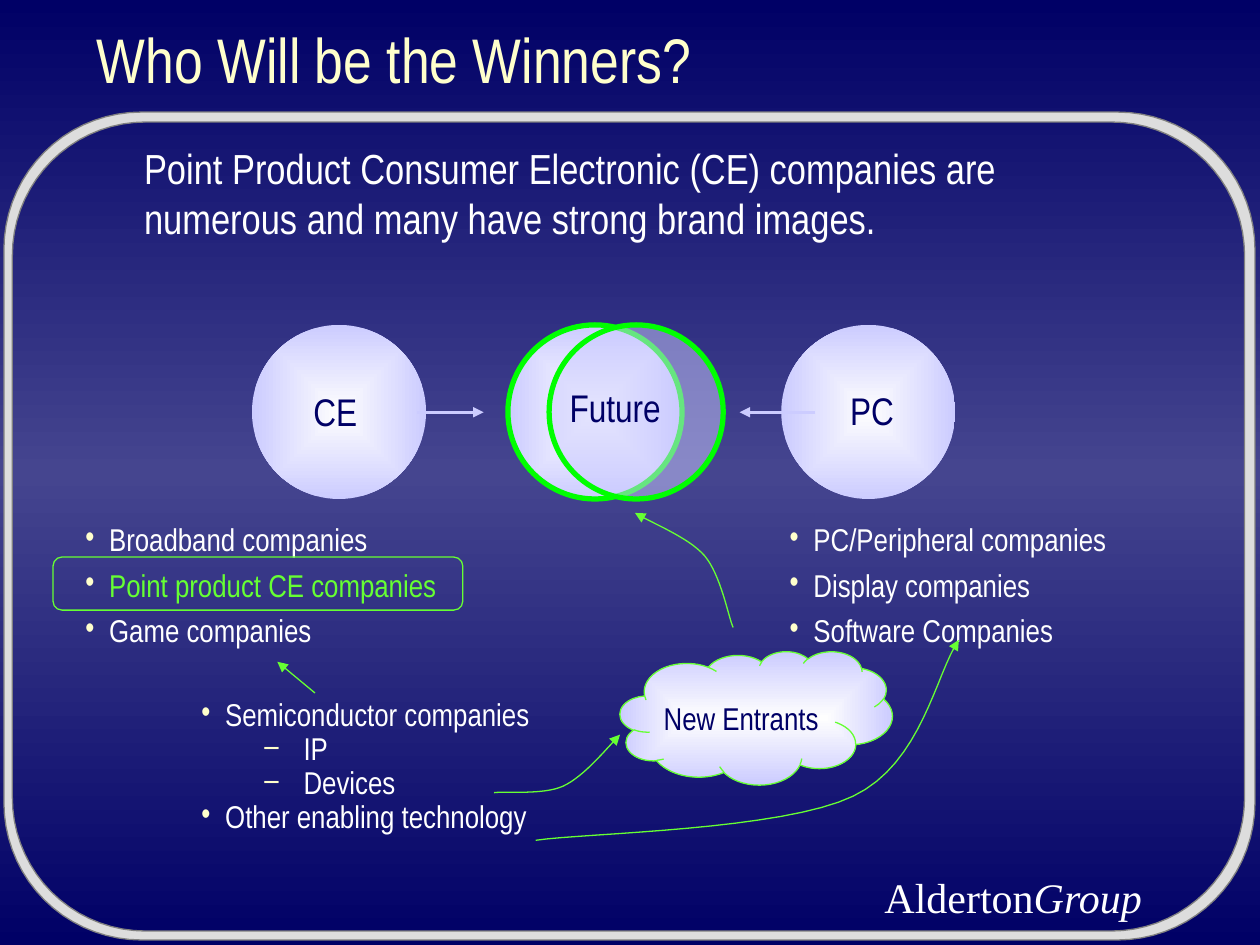
"""Build the slide on who will win between consumer electronics and PC companies."""
from dataclasses import dataclass
from math import cos, radians, sin

from lxml.etree import SubElement
from pptx import Presentation
from pptx.dml.color import RGBColor
from pptx.enum.shapes import MSO_CONNECTOR, MSO_SHAPE
from pptx.enum.text import MSO_ANCHOR, MSO_AUTO_SIZE, PP_ALIGN
from pptx.oxml.ns import qn
from pptx.util import Cm, Pt


@dataclass(frozen=True)
class Theme:
    sans: str = "Arial Narrow"
    serif: str = "Times New Roman"
    navy: str = "000066"
    dusk: str = "45458F"
    cream: str = "FFFFCC"
    white: str = "FFFFFF"
    glow: str = "FEFEFE"
    lilac: str = "CCCCFF"
    neon: str = "00FF00"
    lime: str = "66FF33"
    silver: str = "DDDDDD"
    grey: str = "808080"
    title: int = 36
    body: int = 24
    label: int = 22
    item: int = 18


THEME = Theme()
TITLE = "Who Will be the Winners?"
MESSAGE = ("Point Product Consumer Electronic (CE) companies are numerous "
           "and many have strong brand images.")
WORDMARK = [("Alderton", False), ("Group", True)]
FRAME = [((0.08, 2.26, 25.22, 16.69), 2.77, 1), ((0.25, 2.46, 24.84, 16.31), 2.69, -1)]
DIAMETER, CIRCLE_TOP = 3.51, 6.55
SOLID_CIRCLES = [(5.08, None), (15.75, None), (10.24, THEME.neon)]
OVERLAP_LEFT = 11.07
LABEL_WIDTH, LABEL_HEIGHT = 2.6, 1.19
LABELS = [("CE", 6.76, 7.7), ("Future", 12.4, 7.62), ("PC", 17.58, 7.67)]
ARROWS = [((8.41, 8.31), (9.75, 8.31), THEME.lilac, 1.5),
          ((16.43, 8.31), (14.91, 8.31), THEME.lilac, 1.5),
          ((6.35, 13.97), (5.59, 13.34), THEME.lime, 0.75)]
LISTS = [
    ((1.47, 10.36, 11, 4.88), 4.5, 1.0,
     [("Broadband companies", 0, THEME.white),
      ("Point product CE companies", 0, THEME.lime),
      ("Game companies", 0, THEME.white)]),
    ((15.67, 10.36, 9.5, 2.74), 4.5, 1.0,
     [("PC/Peripheral companies", 0, THEME.white),
      ("Display companies", 0, THEME.white),
      ("Software Companies", 0, THEME.white)]),
    ((3.81, 13.97, 11, 2.74), 0, 0.9,
     [("Semiconductor companies", 0, THEME.white),
      ("IP", 1, THEME.white),
      ("Devices", 1, THEME.white),
      ("Other enabling technology", 0, THEME.white)]),
]
LEVELS = [("•", 0.48, -0.48), ("–", 2.06, -0.79)]
CURVES = [
    [(14.78, 12.65), (14.68, 12.42), (14.53, 11.58), (14.2, 11.2),
     (13.87, 10.82), (13.08, 10.52), (12.8, 10.34)],
    [(9.96, 15.98), (10.19, 15.95), (10.95, 16.03), (11.35, 15.85),
     (11.79, 15.65), (12.27, 15.04), (12.5, 14.81)],
    [(10.8, 16.94), (11.86, 16.79), (15.77, 16.74), (17.2, 16.05),
     (18.59, 15.39), (18.87, 13.56), (19.33, 12.9)],
]
CLOUD = (12.5, 13.13, 5.49, 2.69)
ENTRANTS = ("New Entrants", (13.13, 13.97, 4.45, 1.27))
HIGHLIGHT = (1.07, 11.23, 8.26, 1.07)


def lengths(values):
    return [Cm(value) for value in values]


def color(code):
    return RGBColor.from_string(code)


def set_gradient(fill, parent, stops, centred):
    fill.gradient()
    gradient = parent.find(".//" + qn("a:gradFill"))
    for child in list(gradient):
        gradient.remove(child)
    stop_list = SubElement(gradient, qn("a:gsLst"))
    for position, code in stops:
        stop = SubElement(stop_list, qn("a:gs"), pos=str(position * 1000))
        SubElement(stop, qn("a:srgbClr"), val=code)
    if centred:
        direction = SubElement(gradient, qn("a:path"), path="rect")
        SubElement(direction, qn("a:fillToRect"), l="50000", t="50000", r="50000", b="50000")
    else:
        SubElement(gradient, qn("a:lin"), ang="5400000", scaled="1")


def set_glow(shape):
    set_gradient(shape.fill, shape.element.spPr, [(0, THEME.glow), (100, THEME.lilac)], True)


def set_line(line, code, width, arrow=False):
    if code is None:
        line.fill.background()
        return
    line.color.rgb = color(code)
    line.width = Pt(width)
    if arrow:
        SubElement(line._get_or_add_ln(), qn("a:tailEnd"), type="triangle")


def add_preset(page, kind, place, code, width):
    shape = page.shapes.add_shape(kind, *lengths(place))
    shape.shadow.inherit = False
    set_line(shape.line, code, width)
    return shape


def add_span(para, text, size, code, font=THEME.sans, italic=False):
    span = para.add_run()
    span.text = text
    span.font.name, span.font.size = font, Pt(size)
    span.font.color.rgb = color(code)
    span.font.italic = italic


def add_box(page, place, wrap=True):
    box = page.shapes.add_textbox(*lengths(place))
    box.text_frame.word_wrap = wrap
    return box.text_frame


def fill_placeholder(box, place, text, size, code, anchor):
    box.left, box.top, box.width, box.height = lengths(place)
    frame = box.text_frame
    frame.auto_size = MSO_AUTO_SIZE.NONE
    frame.vertical_anchor = anchor
    para = frame.paragraphs[0]
    para.alignment, para.space_before = PP_ALIGN.LEFT, Pt(0)
    add_span(para, text, size, code)
    return para


def add_list(page, place, gap, spacing, items):
    frame = add_box(page, place)
    for index, (text, level, code) in enumerate(items):
        para = frame.add_paragraph() if index else frame.paragraphs[0]
        mark, margin, indent = LEVELS[level]
        properties = para._p.get_or_add_pPr()
        properties.set("marL", str(Cm(margin)))
        properties.set("indent", str(Cm(indent)))
        SubElement(SubElement(properties, qn("a:buClr")), qn("a:srgbClr"), val=THEME.cream)
        SubElement(properties, qn("a:buFont"), typeface=THEME.sans)
        SubElement(properties, qn("a:buChar"), char=mark)
        para.level, para.line_spacing = level, spacing
        para.space_before = Pt(gap if index else 0)
        add_span(para, text, THEME.item, code)


def rounded_outline(place, radius, direction):
    left, top, width, height = place
    near_x, far_x = left + radius, left + width - radius
    near_y, far_y = top + radius, top + height - radius
    corners = [(far_x, far_y), (near_x, far_y), (near_x, near_y), (far_x, near_y)]
    points = [(Cm(x + radius * cos(radians(90 * turn + step))),
               Cm(y + radius * sin(radians(90 * turn + step))))
              for turn, (x, y) in enumerate(corners) for step in range(0, 91, 5)]
    return points[::direction]


def add_frame(page):
    outer, inner = (rounded_outline(*contour) for contour in FRAME)
    builder = page.shapes.build_freeform(*outer[0])
    builder.add_line_segments(outer[1:])
    builder.move_to(*inner[0])
    builder.add_line_segments(inner[1:])
    shape = builder.convert_to_shape()
    shape.shadow.inherit = False
    shape.fill.solid()
    shape.fill.fore_color.rgb = color(THEME.silver)
    set_line(shape.line, THEME.grey, 0.75)


def add_curve(page, knots, steps=16):
    points = []
    for first in range(0, len(knots) - 1, 3):
        for step in range(1, steps + 1):
            t = step / steps
            weights = ((1 - t) ** 3, 3 * t * (1 - t) ** 2, 3 * t * t * (1 - t), t ** 3)
            points.append(tuple(Cm(sum(weight * knot[axis] for weight, knot
                                       in zip(weights, knots[first:first + 4])))
                                for axis in (0, 1)))
    builder = page.shapes.build_freeform(*lengths(knots[0]))
    builder.add_line_segments(points, close=False)
    shape = builder.convert_to_shape()
    shape.shadow.inherit = False
    shape.fill.background()
    set_line(shape.line, THEME.lime, 0.75, arrow=True)


def main():
    deck = Presentation()
    deck.slide_width, deck.slide_height = Cm(25.4), Cm(19.05)
    page = deck.slides.add_slide(deck.slide_layouts[1])
    set_gradient(page.background.fill, page.element,
                 [(0, THEME.navy), (50, THEME.dusk), (100, THEME.navy)], False)
    fill_placeholder(page.shapes.title, (1.7, 0, 22.23, 2.34), TITLE,
                     THEME.title, THEME.cream, MSO_ANCHOR.MIDDLE)
    message = fill_placeholder(page.placeholders[1], (1.7, 2.74, 21.59, 4.88), MESSAGE,
                               THEME.body, THEME.white, MSO_ANCHOR.TOP)
    properties = message._p.get_or_add_pPr()
    properties.set("marL", str(Cm(0.95)))
    properties.set("indent", "0")
    SubElement(properties, qn("a:buNone"))

    add_frame(page)
    wordmark = add_box(page, (17.58, 17.45, 5.99, 1.27), wrap=False).paragraphs[0]
    for text, italic in WORDMARK:
        add_span(wordmark, text, THEME.body, THEME.white, THEME.serif, italic)

    for left, outline in SOLID_CIRCLES:
        place = (left, CIRCLE_TOP, DIAMETER, DIAMETER)
        set_glow(add_preset(page, MSO_SHAPE.OVAL, place, outline, 3))
    overlap = add_preset(page, MSO_SHAPE.OVAL,
                         (OVERLAP_LEFT, CIRCLE_TOP, DIAMETER, DIAMETER), THEME.neon, 3)
    overlap.fill.solid()
    overlap.fill.fore_color.rgb = color(THEME.lilac)
    tint = overlap.element.spPr.find(qn("a:solidFill")).find(qn("a:srgbClr"))
    SubElement(tint, qn("a:alpha"), val="50000")

    for start, end, code, width in ARROWS:
        arrow = page.shapes.add_connector(MSO_CONNECTOR.STRAIGHT, *lengths(start + end))
        set_line(arrow.line, code, width, arrow=True)
        SubElement(arrow.element.spPr, qn("a:effectLst"))
    for text, centre, top in LABELS:
        place = (centre - LABEL_WIDTH / 2, top, LABEL_WIDTH, LABEL_HEIGHT)
        para = add_box(page, place).paragraphs[0]
        para.alignment = PP_ALIGN.CENTER
        add_span(para, text, THEME.label, THEME.navy)
    for group in LISTS:
        add_list(page, *group)

    set_glow(add_preset(page, MSO_SHAPE.CLOUD, CLOUD, THEME.lime, 0.75))
    text, place = ENTRANTS
    add_span(add_box(page, place).paragraphs[0], text, THEME.item, THEME.navy)
    for knots in CURVES:
        add_curve(page, knots)
    highlight = add_preset(page, MSO_SHAPE.ROUNDED_RECTANGLE, HIGHLIGHT, THEME.lime, 0.75)
    highlight.adjustments[0] = 0.17
    highlight.fill.background()
    deck.save("out.pptx")


if __name__ == "__main__":
    main()
